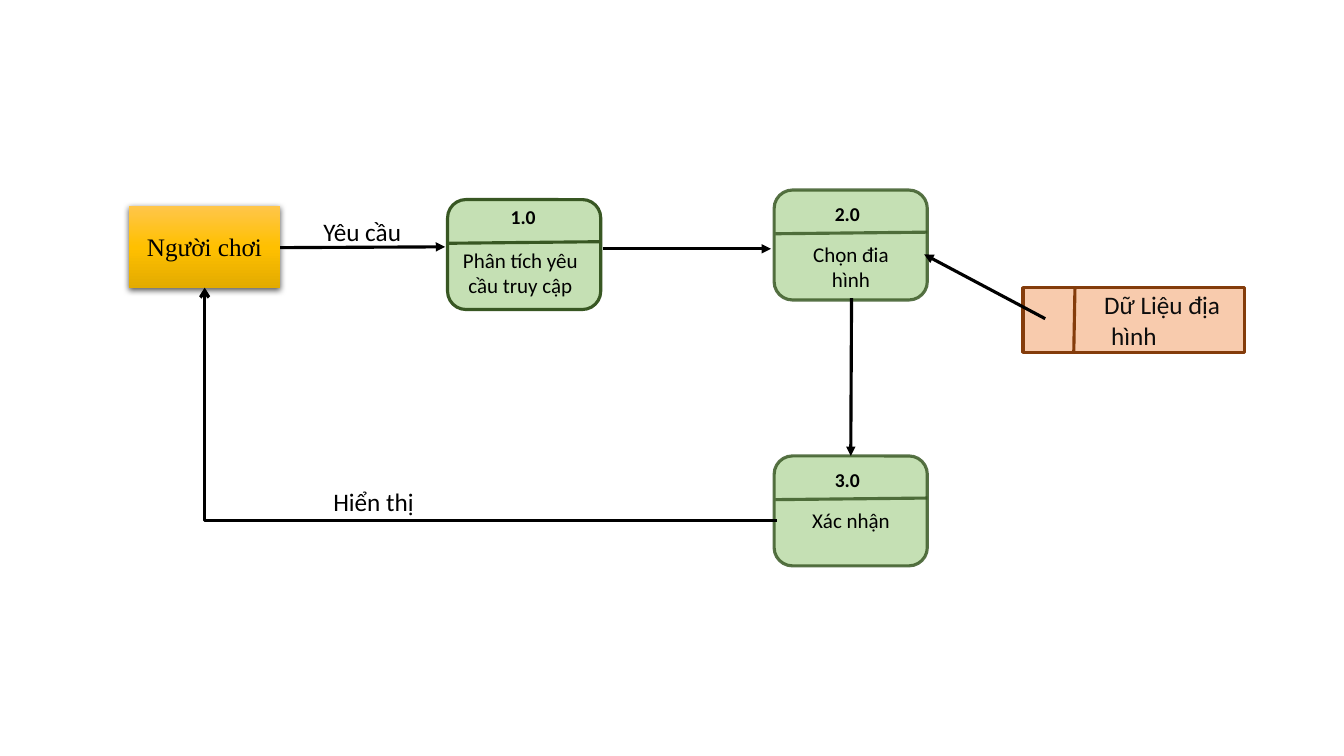
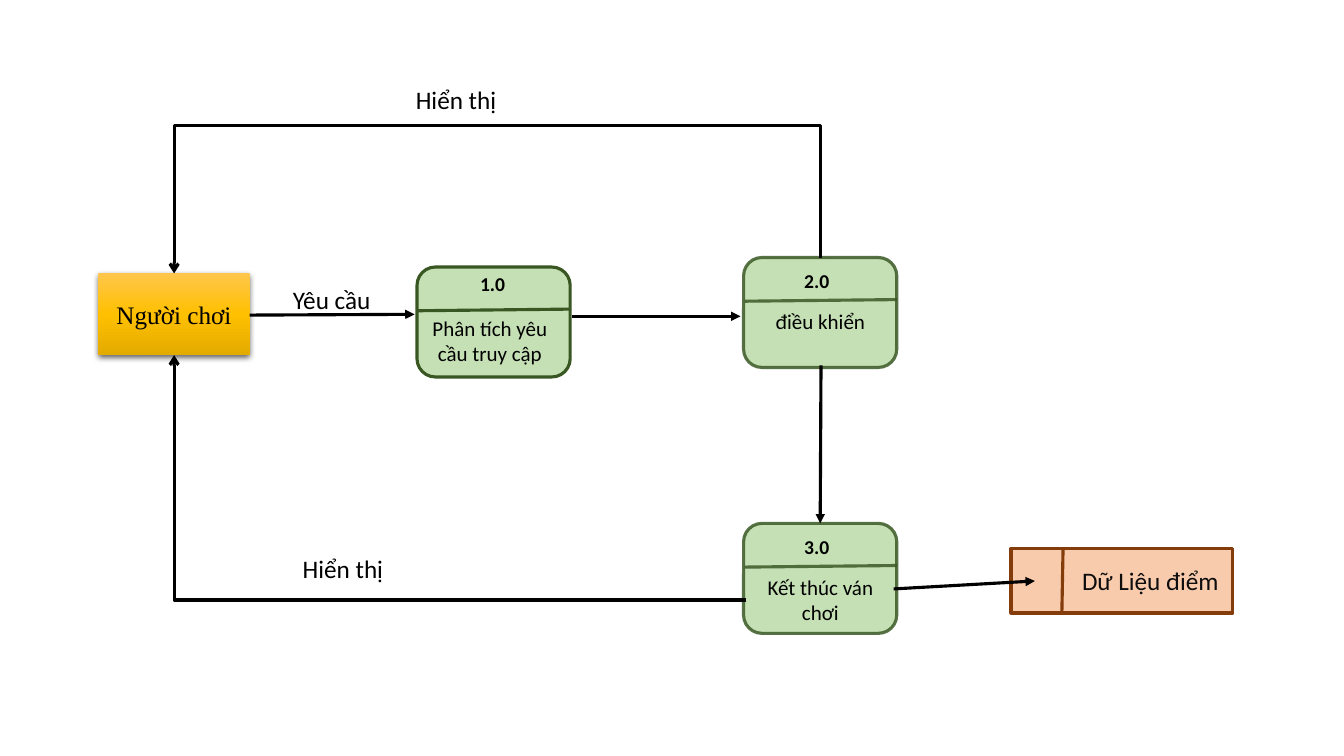
import copy

import pptx
import pptx.util
import pptx.oxml
import pptx.oxml.ns
import pptx.dml.color
import pptx.enum.shapes
import pptx.enum.text

Cm = pptx.util.Cm
Pt = pptx.util.Pt
SHAPE = pptx.enum.shapes.MSO_SHAPE
LINK = pptx.enum.shapes.MSO_CONNECTOR
ALIGN = pptx.enum.text.PP_ALIGN
ANCHOR = pptx.enum.text.MSO_ANCHOR
SIZE = pptx.enum.text.MSO_AUTO_SIZE
NS = pptx.oxml.ns.nsdecls("a")

COLORS = {
    "ink": "000000",
    "soft": "0D0D0D",
    "green": "C5E0B4",
    "moss": "385723",
    "peach": "F8CBAD",
    "rust": "843C0B",
}
GOLD = [(0, "FFC64B"), (0.5, "FFC000"), (1, "E3AB00")]
SANS, SERIF = "Calibri", "Times New Roman"

PLAYER = (3.81, 2.06)
STEP = (3.86, 2.77)
STORE = (5.59, 1.63)


def rgb(code):
    return pptx.dml.color.RGBColor.from_string(code)


def stroke(line, color, alpha=None):
    line.color.rgb = rgb(COLORS[color])
    line.width = Pt(2.25)
    if alpha:
        tone = line._ln.xpath("./a:solidFill/a:srgbClr")[0]
        tone.append(pptx.oxml.parse_xml(f'<a:alpha {NS} val="{alpha * 1000}"/>'))


def write(shape, text, size, font=SANS, color="ink", bold=False, align=ALIGN.CENTER):
    frame = shape.text_frame
    frame.word_wrap = True
    frame.text = text
    for para in frame.paragraphs:
        para.alignment = align
        para.font.size = Pt(size)
        para.font.name = font
        para.font.bold = bold
        para.font.color.rgb = rgb(COLORS[color])


def label(slide, x, y, w, h, text, size, **style):
    box = slide.shapes.add_textbox(Cm(x), Cm(y), Cm(w), Cm(h))
    write(box, text, size, **style)
    box.text_frame.auto_size = SIZE.SHAPE_TO_FIT_TEXT


def block(slide, kind, x, y, size):
    shape = slide.shapes.add_shape(kind, Cm(x), Cm(y), Cm(size[0]), Cm(size[1]))
    shape.shadow.inherit = False
    shape.text_frame.vertical_anchor = ANCHOR.MIDDLE
    return shape


def join(slide, start, end, color="ink", alpha=None, head=None, kind=LINK.STRAIGHT):
    line = slide.shapes.add_connector(kind, *(Cm(v) for v in (*start, *end)))
    props = line._element.spPr
    stroke(line.line, color, alpha)
    if head:
        line.line._ln.append(pptx.oxml.parse_xml(f'<a:tailEnd {NS} type="{head}"/>'))
    props.append(pptx.oxml.parse_xml(f"<a:effectLst {NS}/>"))
    return line


def corner(slide, start, end):
    """Arrow that runs sideways first, then turns once."""
    line = join(slide, start, end, head="arrow", kind=LINK.ELBOW)
    line._element.spPr.xpath("./a:prstGeom")[0].set("prst", "bentConnector2")


def loop(slide, start, end, top):
    """Arrow that rises to top, runs left, and comes down on end."""
    wide, high = start[0] - end[0], end[1] - start[1]
    mid = (start[0] + end[0]) / 2, (start[1] + end[1]) / 2
    line = join(
        slide,
        (mid[0] + high / 2, mid[1] + wide / 2),
        (mid[0] - high / 2, mid[1] - wide / 2),
        head="arrow",
        kind=LINK.ELBOW,
    )
    props = line._element.spPr
    props.xpath("./a:xfrm")[0].set("rot", str(270 * 60000))
    ratio = round((top - start[1]) / high * 100000)
    guides = props.xpath("./a:prstGeom/a:avLst")[0]
    guides.append(pptx.oxml.parse_xml(f'<a:gd {NS} name="adj1" fmla="val {ratio}"/>'))


def player(slide, x, y):
    shape = block(slide, SHAPE.RECTANGLE, x, y, PLAYER)
    shape.fill.gradient()
    shape.fill.gradient_angle = 270
    props = shape._element.spPr
    stops = props.xpath("./a:gradFill/a:gsLst")[0]
    stops.insert(1, copy.deepcopy(stops[0]))
    for stop, (place, code) in zip(shape.fill.gradient_stops, GOLD):
        stop.position = place
        stop.color.rgb = rgb(code)
    shape.line.fill.background()
    props.xpath("./a:effectLst")[0].append(pptx.oxml.parse_xml(
        f'<a:outerShdw {NS} blurRad="{Pt(4.5)}" dist="{Pt(1.5)}" dir="5400000"'
        ' algn="ctr" rotWithShape="0"><a:srgbClr val="000000">'
        '<a:alpha val="63000"/></a:srgbClr></a:outerShdw>'))
    write(shape, "Người chơi", 18, font=SERIF)


def step(slide, x, y, number, text, alpha=83, head=(0.24, 0.17), body=(0.08, 1.17)):
    """Numbered process; head and body are the offsets of its two texts."""
    shape = block(slide, SHAPE.ROUNDED_RECTANGLE, x, y, STEP)
    shape.fill.solid()
    shape.fill.fore_color.rgb = rgb(COLORS["green"])
    stroke(shape.line, "moss", alpha)
    join(slide, (x + 0.03, y + 1.1), (x + STEP[0], y + 1.06), "moss", alpha)
    label(slide, x + head[0], y + head[1], 3.21, 0.86, number, 14, bold=True)
    label(slide, x + body[0], y + body[1], 3.71, 1.52, text, 15)


def store(slide, x, y, text):
    shape = block(slide, SHAPE.RECTANGLE, x, y, STORE)
    shape.fill.solid()
    shape.fill.fore_color.rgb = rgb(COLORS["peach"])
    stroke(shape.line, "rust")
    write(shape, text, 18, color="soft")
    props = shape.text_frame.paragraphs[0]._p.get_or_add_pPr()
    props.set("indent", str(Cm(1.43)))
    join(slide, (x + 1.31, y), (x + 1.28, y + STORE[1]), "rust")


def flow(deck, x, y, second, third, data, spot, link, back, top=None):
    """Flow chart whose places are all relative to the player at x, y."""
    slide = deck.slides.add_slide(deck.slide_layouts[6])

    def at(dx, dy):
        return x + dx, y + dy

    player(slide, x, y)
    step(slide, *at(8.03, -0.16), "1.0", "Phân tích yêu cầu truy cập",
         alpha=None, head=(0.3, 0), body=(-0.02, 1.09))
    step(slide, *at(16.26, -0.4), "2.0", second)
    step(slide, *at(16.26, 6.3), "3.0", third)
    store(slide, *at(*spot), data)

    arrows = [
        ((3.81, 1.05), (7.97, 1.03)),
        ((11.94, 1.08), (16.18, 1.08)),
        ((18.21, 2.32), (18.19, 6.3)),
        link,
    ]
    for start, end in arrows:
        join(slide, at(*start), at(*end), head="triangle")
    corner(slide, at(16.33, back), at(1.91, PLAYER[1]))

    notes = [("Yêu cầu", 4.65, 0.14), ("Hiển thị", 4.9, 6.94)]
    if top is not None:
        loop(slide, at(18.19, -0.38), at(1.91, 0), y + top)
        notes.append(("Hiển thị", 7.75, top - 1.15))
    for text, dx, dy in notes:
        label(slide, *at(dx, dy), 2.74, 1.02, text, 18, align=ALIGN.LEFT)


def main():
    deck = pptx.Presentation()
    deck.slide_width, deck.slide_height = Cm(33.87), Cm(19.05)
    flow(deck, 3.25, 5.19, "Chọn đia\nhình", "Xác nhận", "Dữ Liệu địa hình",
         spot=(22.53, 2.06), link=((23.09, 2.84), (20.04, 1.22)), back=7.92)
    flow(deck, 2.48, 6.89, "điều khiển", "Kết thúc ván chơi", "Dữ Liệu điểm",
         spot=(23, 6.93), link=((20.04, 7.95), (23.6, 7.75)), back=8.23, top=-3.73)
    deck.save("out.pptx")


if __name__ == "__main__":
    main()
